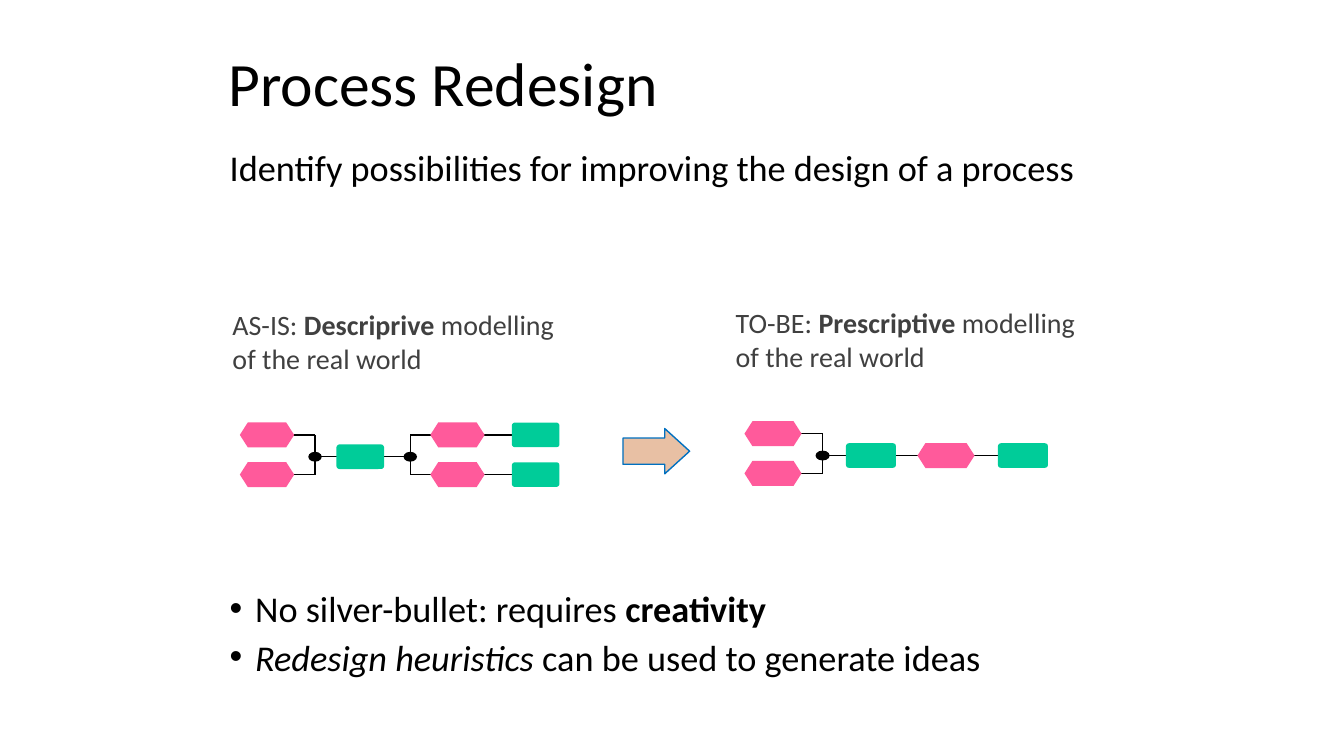
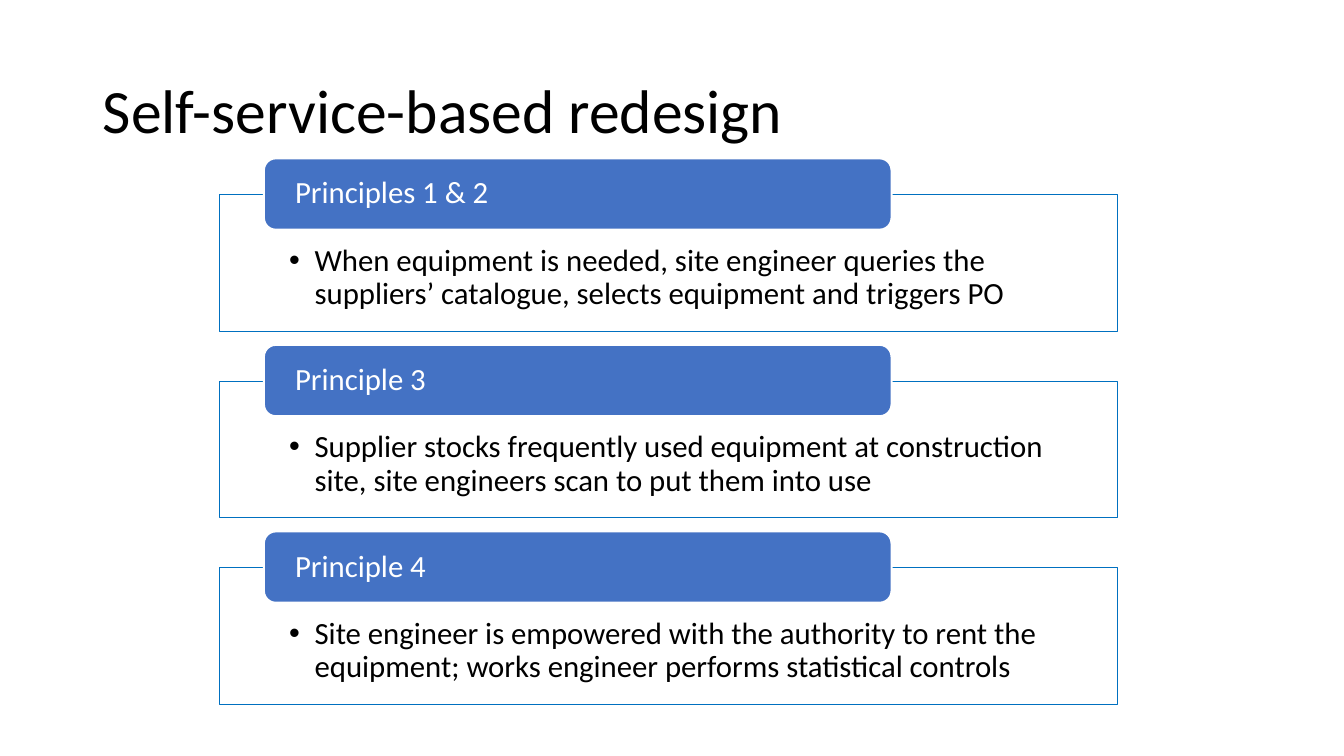
from pptx import Presentation
from pptx.dml.color import RGBColor
from pptx.enum.shapes import MSO_CONNECTOR, MSO_SHAPE
from pptx.enum.text import MSO_ANCHOR, PP_ALIGN
from pptx.oxml.ns import qn
from pptx.util import Cm, Pt
from lxml.etree import SubElement

FONT = "Calibri"
HUES = {
    "ink": "000000", "gray": "404040", "paper": "FFFFFF", "edge": "0070C0",
    "tab": "4472C4", "event": "FF5A9B", "task": "00CC99", "arrow": "C55A11",
}

# A paragraph is a list of (text, style) runs; style is "", "b" or "i".
TITLES = [
    ("Process Redesign", (5.51, 0.58, 22.86, 3.18)),
    ("Self-service-based redesign", (2.34, 1.02, 29.21, 3.68)),
]
LEAD = [[("Identify possibilities for improving the design of a process", "")]]
POINTS = [
    [("No silver-bullet: requires ", ""), ("creativity", "b")],
    [("Redesign heuristics", "i"), (" can be used to generate ideas", "")],
]

# Each column of a flow is (kind, centre x, rows); rows count from the top.
TOP, MID, LOW = 0, 0.55, 1
FLOWS = [
    {
        "label": ("AS-IS: ", "Descriprive"), "at": (5.61, 7.62),
        "top": 10.96, "scale": 1,
        "cols": [
            ("event", 6.73, (TOP, LOW)), ("gate", 7.94, (MID,)),
            ("task", 9.08, (MID,)), ("gate", 10.34, (MID,)),
            ("event", 11.53, (TOP, LOW)), ("task", 13.5, (TOP, LOW)),
        ],
    },
    {
        "label": ("TO-BE: ", "Prescriptive"), "at": (18.29, 7.57),
        "top": 10.93, "scale": 1.05,
        "cols": [
            ("event", 19.48, (TOP, LOW)), ("gate", 20.73, (MID,)),
            ("task", 21.95, (MID,)), ("event", 23.84, (MID,)),
            ("task", 25.78, (MID,)),
        ],
    },
]
# kind: preset, width, height, colour, adjustments
NODES = {
    "event": (MSO_SHAPE.HEXAGON, 1.37, 0.63, "event", (0.32,)),
    "task": (MSO_SHAPE.ROUNDED_RECTANGLE, 1.2, 0.62, "task", (0.12,)),
    "gate": (MSO_SHAPE.OVAL, 0.34, 0.25, "ink", ()),
}
CARDS = [
    ("Principles 1 & 2", "When equipment is needed, site engineer queries the "
     "suppliers’ catalogue, selects equipment and triggers PO"),
    ("Principle 3", "Supplier stocks frequently used equipment at construction "
     "site, site engineers scan to put them into use"),
    ("Principle 4", "Site engineer is empowered with the authority to rent the "
     "equipment; works engineer performs statistical controls"),
]


def hue(name):
    return RGBColor.from_string(HUES[name])


def write(shape, paras, size, color="ink", bullet=False, space=1, before=0,
          anchor=MSO_ANCHOR.TOP, pad=(0.25, 0.13, 0.25, 0.13)):
    frame = shape.text_frame
    frame.word_wrap = True
    frame.vertical_anchor = anchor
    (frame.margin_left, frame.margin_top,
     frame.margin_right, frame.margin_bottom) = map(Cm, pad)
    for n, runs in enumerate(paras):
        para = frame.add_paragraph() if n else frame.paragraphs[0]
        para.alignment = PP_ALIGN.LEFT
        para.line_spacing = space
        para.space_before = Pt(before if n else 0)
        if bullet:
            props = para._p.get_or_add_pPr()
            props.set("marL", str(Cm(0.64)))
            props.set("indent", str(-Cm(0.64)))
            SubElement(props, qn("a:buFont"), typeface="Arial")
            SubElement(props, qn("a:buChar"), char="•")
        for text, style in runs:
            run = para.add_run()
            run.text = text
            font = run.font
            font.name, font.size = FONT, Pt(size)
            font.bold, font.italic = style == "b", style == "i"
            font.color.rgb = hue(color)


def label(slide, box, paras, size, **form):
    write(slide.shapes.add_textbox(*map(Cm, box)), paras, size, **form)


def draw(slide, preset, box, fill, line=None, width=1, alpha=None, adjust=()):
    shape = slide.shapes.add_shape(preset, *map(Cm, box))
    shape.shadow.inherit = False
    for n, value in enumerate(adjust):
        shape.adjustments[n] = value
    shape.fill.solid()
    shape.fill.fore_color.rgb = hue(fill)
    if alpha:
        tint = shape._element.spPr.find(".//" + qn("a:srgbClr"))
        SubElement(tint, qn("a:alpha"), val=str(alpha * 1000))
    if line:
        shape.line.color.rgb = hue(line)
        shape.line.width = Pt(width)
    else:
        shape.line.fill.background()
    return shape


def wire(slide, *ends):
    link = slide.shapes.add_connector(MSO_CONNECTOR.STRAIGHT, *map(Cm, ends))
    link.line.color.rgb = hue("ink")
    link.line.width = Pt(1)
    SubElement(link._element.spPr, qn("a:effectLst"))


def chart_flow(slide, flow):
    """Label a flow, wire its neighbouring columns, then lay nodes on top."""
    lead, word = flow["label"]
    label(slide, (*flow["at"], 10.16, 1.96),
          [[(lead, ""), (word, "b"), (" modelling", "")],
           [("of the real world", "")]], 20, color="gray")
    top, cols = flow["top"], flow["cols"]
    for (kind, x, rows), (_, x2, rows2) in zip(cols, cols[1:]):
        for row in max(rows, rows2, key=len):
            wire(slide, x, top + row, x2, top + row)
        if len(rows) != len(rows2):
            joint = x if kind == "gate" else x2
            wire(slide, joint, top + TOP, joint, top + LOW)
    for kind, x, rows in cols:
        preset, wide, high, fill, adjust = NODES[kind]
        wide *= flow["scale"]
        for row in rows:
            box = (x - wide / 2, top + row - high / 2, wide, high)
            draw(slide, preset, box, fill, adjust=adjust)


def add_card(slide, top, head, body):
    frame = draw(slide, MSO_SHAPE.RECTANGLE, (5.54, top + 0.91, 22.61, 3.45),
                 "paper", line="edge", width=0.5, alpha=90)
    write(frame, [[(body, "")]], 22, bullet=True, space=0.9,
          pad=(1.75, 1.27, 1.75, 0.43))
    tab = draw(slide, MSO_SHAPE.ROUNDED_RECTANGLE, (6.65, top, 15.82, 1.8),
               "tab", line="paper", width=1.5)
    write(tab, [[(head, "")]], 22, color="paper", space=0.9,
          anchor=MSO_ANCHOR.MIDDLE, pad=(0.7, 0, 0.7, 0))


def add_slide(deck, title, box):
    slide = deck.slides.add_slide(deck.slide_layouts[6])
    label(slide, box, [[(title, "")]], 44, space=0.9, anchor=MSO_ANCHOR.MIDDLE)
    return slide


def main():
    deck = Presentation()
    deck.slide_width, deck.slide_height = Cm(33.87), Cm(19.05)
    flows, cards = [add_slide(deck, *title) for title in TITLES]

    label(flows, (5.54, 3.73, 22.61, 1.3), LEAD, 25.9, space=0.8)
    draw(flows, MSO_SHAPE.RIGHT_ARROW, (15.7, 10.8, 1.68, 1.14), "arrow",
         line="edge", alpha=38, adjust=(0.58, 0.55))
    for flow in FLOWS:
        chart_flow(flows, flow)
    label(flows, (5.54, 14.85, 22.61, 2.6), POINTS, 25.9,
          bullet=True, space=0.8, before=10)

    for n, card in enumerate(CARDS):
        add_card(cards, 3.99 + 4.7 * n, *card)
    deck.save("out.pptx")


if __name__ == "__main__":
    main()
